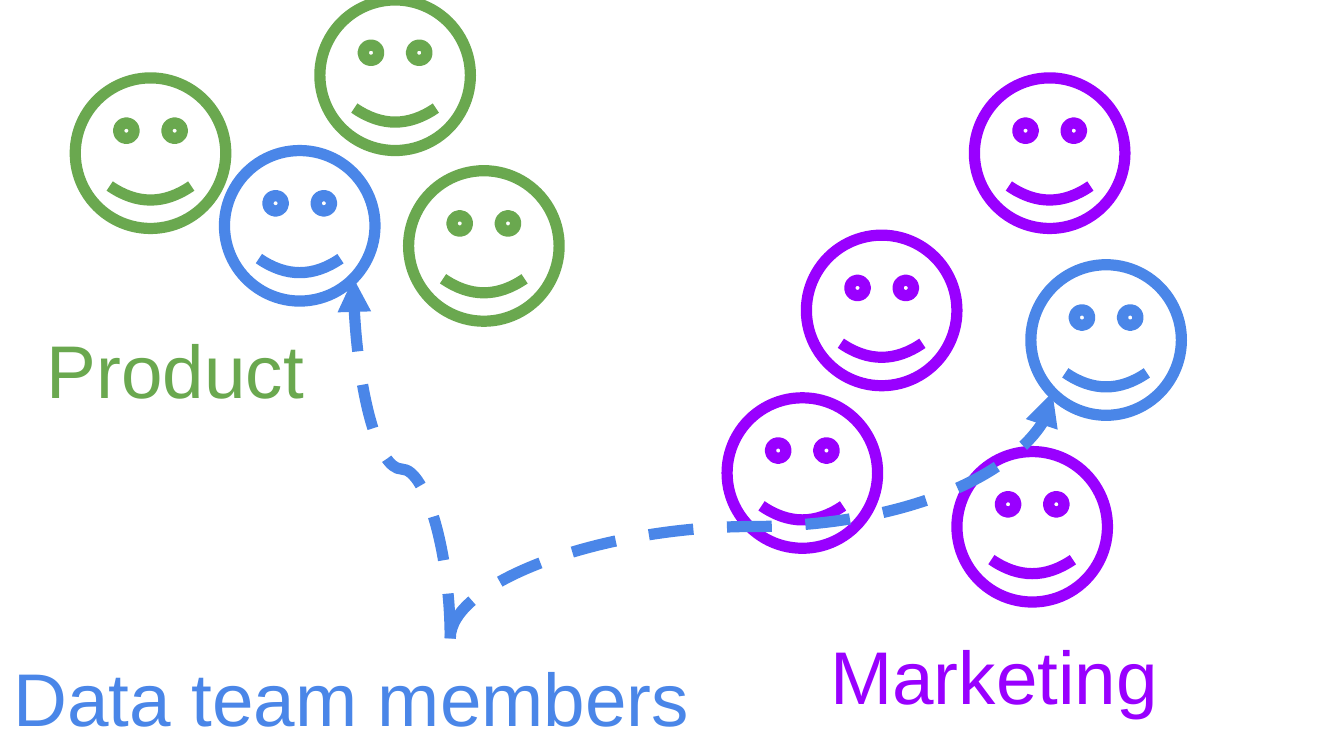
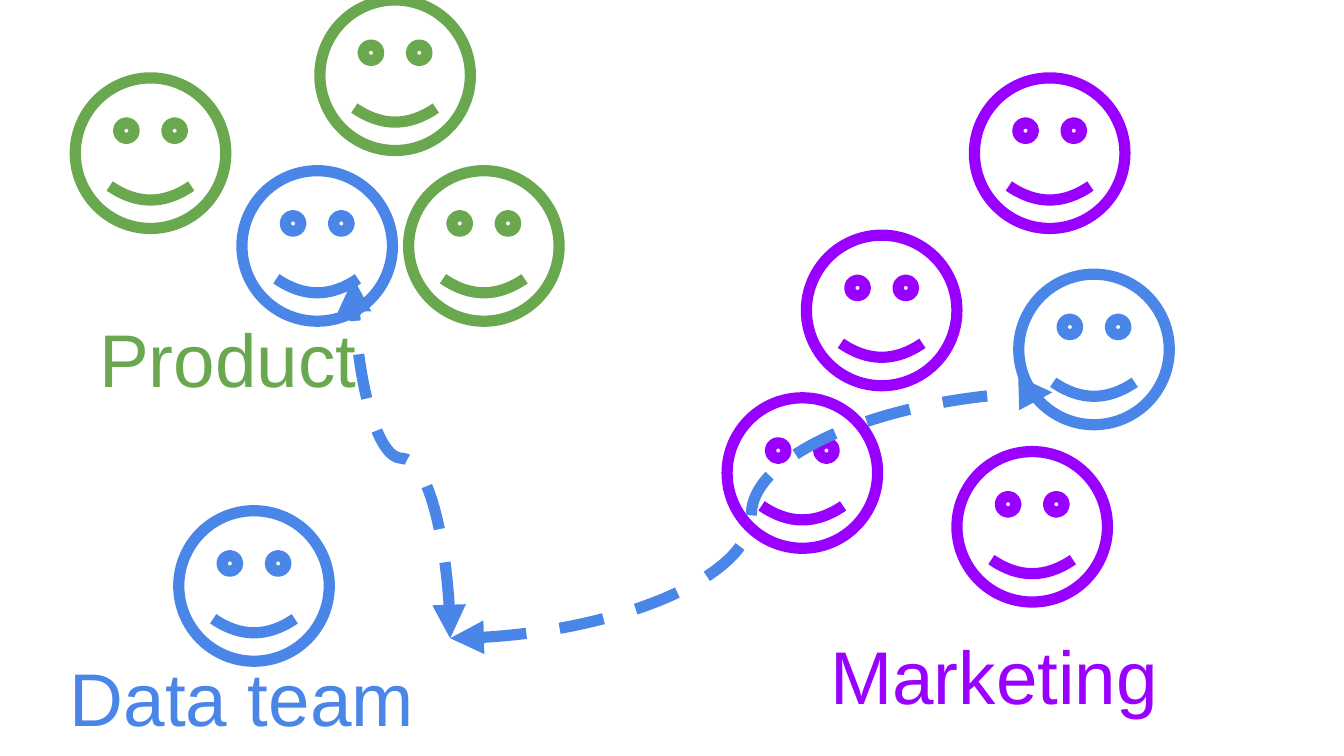
from dataclasses import dataclass

from lxml import etree
from pptx import Presentation
from pptx.dml.color import RGBColor
from pptx.enum.dml import MSO_LINE
from pptx.enum.shapes import MSO_CONNECTOR, MSO_SHAPE
from pptx.oxml.ns import qn
from pptx.util import Inches, Pt

SMILEY = MSO_SHAPE.SMILEY_FACE
CURVE = MSO_CONNECTOR.CURVE
DASH = MSO_LINE.DASH

# Square grid cells: 100 columns by 56.25 rows
WIDTH, HEIGHT = Inches(10), Inches(5.625)
CELL = WIDTH / 100


@dataclass(frozen=True)
class Theme:
    data: str = "4A86E8"
    marketing: str = "9900FF"
    product: str = "6AA84F"
    font: str = "Arial"
    label_size: int = 40
    stroke: int = 6


@dataclass(frozen=True)
class Face:
    col: float
    row: float
    color: str


@dataclass(frozen=True)
class Label:
    text: str
    col: float
    row: float
    color: str


@dataclass(frozen=True)
class Route:
    end: tuple[float, float]
    upright: bool
    bend: float = 0.5
    both_ways: bool = False


THEME = Theme()
FACE_SIZE = 11.2
SMILE = 0.047
LABEL_SIZE = (66.9, 7.8)
LABEL_INSET = 1
DATA_HUB = (33.5, 47.5)
PRODUCT_END = (26.3, 20.7)
MARKETING_END = (78.3, 29.2)

TEAM_FACES = [
    *(Face(c, r, THEME.marketing)
      for c, r in [(60, 17.5), (71.2, 33.6), (72.5, 5.8), (54.1, 29.6)]),
    *(Face(c, r, THEME.product)
      for c, r in [(5.6, 5.8), (23.8, 0), (30.4, 12.7)]),
]
MARKETING_LABEL = Label("Marketing", 60.8, 45.9, THEME.marketing)


def grid(cells: float) -> int:
    return round(cells * CELL)


def style_line(line, color: str) -> None:
    line.color.rgb = RGBColor.from_string(color)
    line.width = Pt(THEME.stroke)


def add_face(s, face: Face) -> None:
    sp = s.shapes.add_shape(SMILEY, grid(face.col), grid(face.row),
                            grid(FACE_SIZE), grid(FACE_SIZE))
    sp.shadow.inherit = False
    sp.adjustments[0] = SMILE
    sp.fill.background()
    style_line(sp.line, face.color)


def add_text(s, text: str, *, col: float, row: float, color: str,
             size: int = THEME.label_size, font: str = THEME.font) -> None:
    width, height = LABEL_SIZE
    tf = s.shapes.add_textbox(grid(col), grid(row),
                              grid(width), grid(height)).text_frame
    tf.word_wrap = True
    tf.margin_left = tf.margin_right = grid(LABEL_INSET)
    tf.margin_top = tf.margin_bottom = grid(LABEL_INSET)
    r = tf.paragraphs[0].add_run()
    r.text = text
    r.font.name = font
    r.font.size = Pt(size)
    r.font.color.rgb = RGBColor.from_string(color)


def add_route(s, route: Route) -> None:
    """Draw a dashed curve from the hub; an upright one leaves it vertically."""
    (x1, y1), (x2, y2) = DATA_HUB, route.end
    mid_x, mid_y = (x1 + x2) / 2, (y1 + y2) / 2
    dx, dy = x2 - x1, y2 - y1
    turn = 0
    if route.upright:
        # A preset curve leaves sideways, so lay it down and turn it about its centre
        turn, sign = (90, 1) if dx < 0 else (270, -1)
        dx, dy = sign * dy, -sign * dx
    c = s.shapes.add_connector(CURVE, grid(mid_x - dx / 2), grid(mid_y - dy / 2),
                               grid(mid_x + dx / 2), grid(mid_y + dy / 2))
    style_line(c.line, THEME.data)
    c.line.dash_style = DASH

    props = c._element.spPr
    if turn:
        props.find(qn("a:xfrm")).set("rot", str(turn * 60000))
    guides = props.find(qn("a:prstGeom")).find(qn("a:avLst"))
    etree.SubElement(guides, qn("a:gd"), name="adj1",
                     fmla=f"val {round(route.bend * 100000)}")
    ln = props.find(qn("a:ln"))
    for tag in ("a:headEnd", "a:tailEnd") if route.both_ways else ("a:tailEnd",):
        etree.SubElement(ln, qn(tag), type="triangle")
    etree.SubElement(props, qn("a:effectLst"))


def add_team_slide(prs, data_faces: list[Face], labels: list[Label],
                   routes: list[Route]) -> None:
    s = prs.slides.add_slide(prs.slide_layouts[6])
    for label in [*labels, MARKETING_LABEL]:
        add_text(s, label.text, col=label.col, row=label.row, color=label.color)
    for face in TEAM_FACES + data_faces:
        add_face(s, face)
    for route in routes:
        add_route(s, route)


def main() -> None:
    prs = Presentation()
    prs.slide_width, prs.slide_height = WIDTH, HEIGHT
    add_team_slide(
        prs,
        [Face(76.7, 19.7, THEME.data), Face(16.7, 11.2, THEME.data)],
        [Label("Data team members", 0, 47.5, THEME.data),
         Label("Product", 2.5, 23.1, THEME.product)],
        [Route(PRODUCT_END, upright=True, bend=0.47),
         Route(MARKETING_END, upright=True, bend=0.455)],
    )
    add_team_slide(
        prs,
        [Face(13.3, 38, THEME.data), Face(75.8, 20.4, THEME.data),
         Face(18, 12.7, THEME.data)],
        [Label("Data team", 4.2, 47.5, THEME.data),
         Label("Product", 6.4, 22.3, THEME.product)],
        [Route(PRODUCT_END, upright=True, both_ways=True),
         Route(MARKETING_END, upright=False, both_ways=True)],
    )
    prs.save("out.pptx")


if __name__ == "__main__":
    main()
